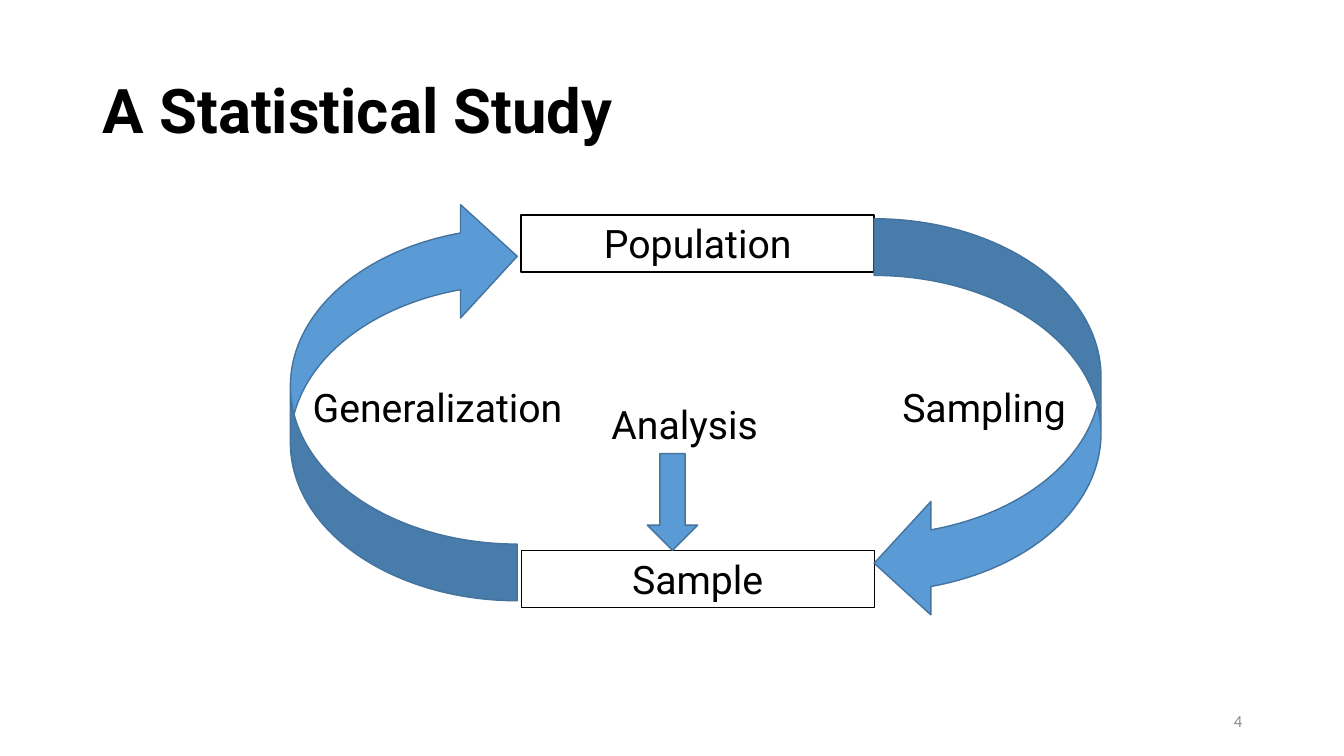
from pptx import Presentation, util as u
from pptx.dml.color import RGBColor
from pptx.enum import shapes, text

# Content: wording and places (left, top) in inches
TITLE = "A Statistical Study"
PAGE_NUMBER = "4"
STAGES = [("Population", 5.17, 2.13, 1.25), ("Sample", 5.17, 5.46, 0.75)]  # last: border points
STEPS = [("Sampling", 8.01, 3.75), ("Generalization", 2.59, 3.75), ("Analysis", 5.04, 3.92)]
LABEL_SIZE = (3.5, 0.57)
CURVE, DOWN = shapes.MSO_SHAPE.CURVED_LEFT_ARROW, shapes.MSO_SHAPE.DOWN_ARROW
ARROWS = [  # preset, left, top, width, height, rotation
    (CURVE, 8.67, 2.17, 2.25, 3.98, 0),
    (CURVE, 2.88, 1.98, 2.25, 3.98, 180),
    (DOWN, 6.42, 4.5, 0.5, 0.96, 0),
]
COLORS = {"ink": "000000", "page": "8C8C8C", "arrow": "5B9BD5", "edge": "43739E"}
ALIGN, ANCHOR = text.PP_ALIGN, text.MSO_ANCHOR

deck = Presentation()
deck.slide_width, deck.slide_height = u.Inches(13.33), u.Inches(7.5)
slide = deck.slides.add_slide(deck.slide_layouts[6])


def color(name):
    return RGBColor.from_string(COLORS[name])


def outline(item, name, points):
    item.shadow.inherit = False
    item.line.color.rgb = color(name)
    item.line.width = u.Pt(points)


def write(item, words, size, align=ALIGN.CENTER, anchor=ANCHOR.TOP,
          font="Roboto", ink="ink", bold=False):
    frame = item.text_frame
    frame.text = words
    frame.word_wrap = True
    frame.vertical_anchor = anchor
    line = frame.paragraphs[0]
    line.alignment = align
    letters = line.runs[0].font
    letters.name, letters.size, letters.bold = font, u.Pt(size), bold
    letters.color.rgb = color(ink)
    return line


def text_box(*place):
    return slide.shapes.add_textbox(*map(u.Inches, place))


# Title and page number
heading = write(text_box(0.92, 0.4, 11.5, 1.45), TITLE, 44,
                ALIGN.LEFT, ANCHOR.MIDDLE, bold=True)
heading.line_spacing = 0.9
write(text_box(9.42, 6.95, 3, 0.4), PAGE_NUMBER, 12,
      ALIGN.RIGHT, ANCHOR.MIDDLE, "Calibri", "page")

# Boxes for the two groups studied
for words, left, top, border in STAGES:
    stage = slide.shapes.add_shape(shapes.MSO_SHAPE.RECTANGLE,
                                   *map(u.Inches, (left, top, *LABEL_SIZE)))
    stage.fill.background()
    outline(stage, "ink", border)
    write(stage, words, 28)

# Arrows of the cycle
for preset, *place, turn in ARROWS:
    arrow = slide.shapes.add_shape(preset, *map(u.Inches, place))
    arrow.rotation = turn
    arrow.fill.solid()
    arrow.fill.fore_color.rgb = color("arrow")
    outline(arrow, "edge", 1)

# Names of the steps
for words, left, top in STEPS:
    write(text_box(left, top, *LABEL_SIZE), words, 28)

deck.save("out.pptx")
